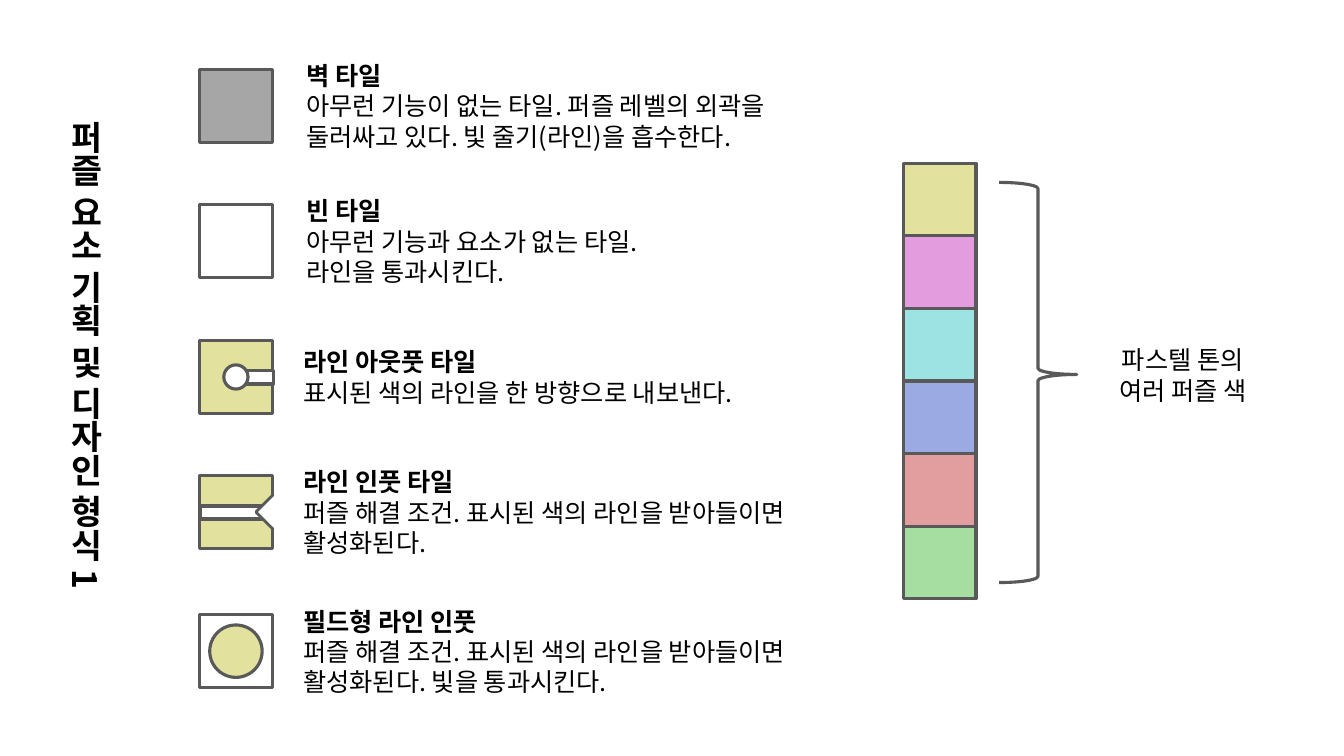
from typing import NamedTuple, Optional
from lxml import etree
from pptx import Presentation
from pptx.dml.color import RGBColor
from pptx.enum import shapes, text
from pptx.oxml import ns
from pptx.util import Inches, Pt

FONT = "Noto Sans CJK KR"
DARK, WHITE, GREY, YELLOW = "595959", "FFFFFF", "A6A6A6", "E2E29E"
SIDE = 0.72
TILE_X = 1.98
KIND = shapes.MSO_SHAPE
LEFT, MID = text.PP_ALIGN.LEFT, text.PP_ALIGN.CENTER


class Piece(NamedTuple):
    kind: KIND
    x: float
    y: float
    w: float
    h: float
    fill: Optional[str] = WHITE
    line: Optional[str] = DARK


class Tile(NamedTuple):
    top: float
    fill: Optional[str]
    left: float
    width: float
    title: str
    lines: list[str]
    marks: list[Piece]


def paint(code: str) -> RGBColor:
    return RGBColor.from_string(code)


def draw(piece: Piece):
    shape = slide.shapes.add_shape(
        piece.kind, Inches(piece.x), Inches(piece.y), Inches(piece.w), Inches(piece.h))
    shape.shadow.inherit = False
    if piece.fill:
        shape.fill.solid()
        shape.fill.fore_color.rgb = paint(piece.fill)
    else:
        shape.fill.background()
    if piece.line:
        shape.line.color.rgb = paint(piece.line)
        shape.line.width = Pt(2.25)
    else:
        shape.line.fill.background()
    return shape


def write(x: float, y: float, w: float, h: float, lines: list[tuple[str, bool]],
          size: int = 18, align: text.PP_ALIGN = LEFT,
          anchor: text.MSO_ANCHOR = text.MSO_ANCHOR.TOP):
    box = slide.shapes.add_textbox(Inches(x), Inches(y), Inches(w), Inches(h))
    frame = box.text_frame
    frame.word_wrap = False
    frame.auto_size = text.MSO_AUTO_SIZE.SHAPE_TO_FIT_TEXT
    frame.vertical_anchor = anchor
    for i, (words, bold) in enumerate(lines):
        para = frame.add_paragraph() if i else frame.paragraphs[0]
        para.alignment = align
        run = para.add_run()
        run.text = words
        run.font.size = Pt(size)
        run.font.bold = bold
        run.font.color.rgb = paint("000000")
        run.font.name = FONT
        east = etree.SubElement(run.font._element, ns.qn("a:ea"))
        east.set("typeface", FONT)
    return box


def place(tile: Tile) -> None:
    draw(Piece(KIND.RECTANGLE, TILE_X, tile.top, SIDE, SIDE, tile.fill))
    for mark in tile.marks:
        draw(mark)
    lines = [(tile.title, True)] + [(words, False) for words in tile.lines]
    high = 0.11 + 0.3 * len(lines)
    write(tile.left, tile.top + (SIDE - high) / 2, tile.width, high, lines,
          anchor=text.MSO_ANCHOR.MIDDLE)


deck = Presentation()
deck.slide_width, deck.slide_height = Inches(13.33), Inches(7.5)
slide = deck.slides.add_slide(deck.slide_layouts[6])

TILES = [
    Tile(0.69, GREY, 2.94, 5.34, "벽 타일",
         ["아무런 기능이 없는 타일. 퍼즐 레벨의 외곽을",
          "둘러싸고 있다. 빛 줄기(라인)을 흡수한다."], []),
    Tile(2.03, None, 2.94, 3.9, "빈 타일",
         ["아무런 기능과 요소가 없는 타일.", "라인을 통과시킨다."], []),
    Tile(3.38, YELLOW, 2.91, 5, "라인 아웃풋 타일",
         ["표시된 색의 라인을 한 방향으로 내보낸다."],
         [Piece(KIND.RECTANGLE, 2.43, 3.68, 0.28, 0.13),
          Piece(KIND.OVAL, 2.22, 3.62, 0.24, 0.24)]),
    Tile(4.72, YELLOW, 2.91, 5.59, "라인 인풋 타일",
         ["퍼즐 해결 조건. 표시된 색의 라인을 받아들이면", "활성화된다."],
         [Piece(KIND.RECTANGLE, 1.99, 5.02, 0.63, 0.13),
          Piece(KIND.DIAMOND, 2.54, 4.92, 0.32, 0.32),
          Piece(KIND.DIAMOND, 2.56, 4.91, 0.34, 0.34, WHITE, None)]),
    Tile(6.1, None, 2.91, 5.59, "필드형 라인 인풋",
         ["퍼즐 해결 조건. 표시된 색의 라인을 받아들이면",
          "활성화된다. 빛을 통과시킨다."],
         [Piece(KIND.OVAL, 2.08, 6.2, 0.52, 0.52, YELLOW)]),
]
for tile in TILES:
    place(tile)

TONES = [YELLOW, "E39DDE", "9DE3E3", "9CAAE4", "E29E9E", "A6DEA2"]
for i, tone in enumerate(TONES):
    draw(Piece(KIND.RECTANGLE, 8.96, 1.62 + i * SIDE, SIDE, SIDE, tone))

brace = draw(Piece(KIND.RIGHT_BRACE, 9.91, 1.81, 0.77, 3.97, None))
brace.adjustments[0] = 0.08
brace.adjustments[1] = 0.48
write(10.91, 3.37, 1.64, 0.71,
      [("파스텔 톤의", False), ("여러 퍼즐 색", False)], align=MID)

head = write(0.49, 1.1, 0.61, 5.3,
             [("퍼즐 요소 기획 및 디자인 형식 1", True)], size=24, align=MID)
head.text_frame._txBody.bodyPr.set("vert", "eaVert")

deck.save("out.pptx")
